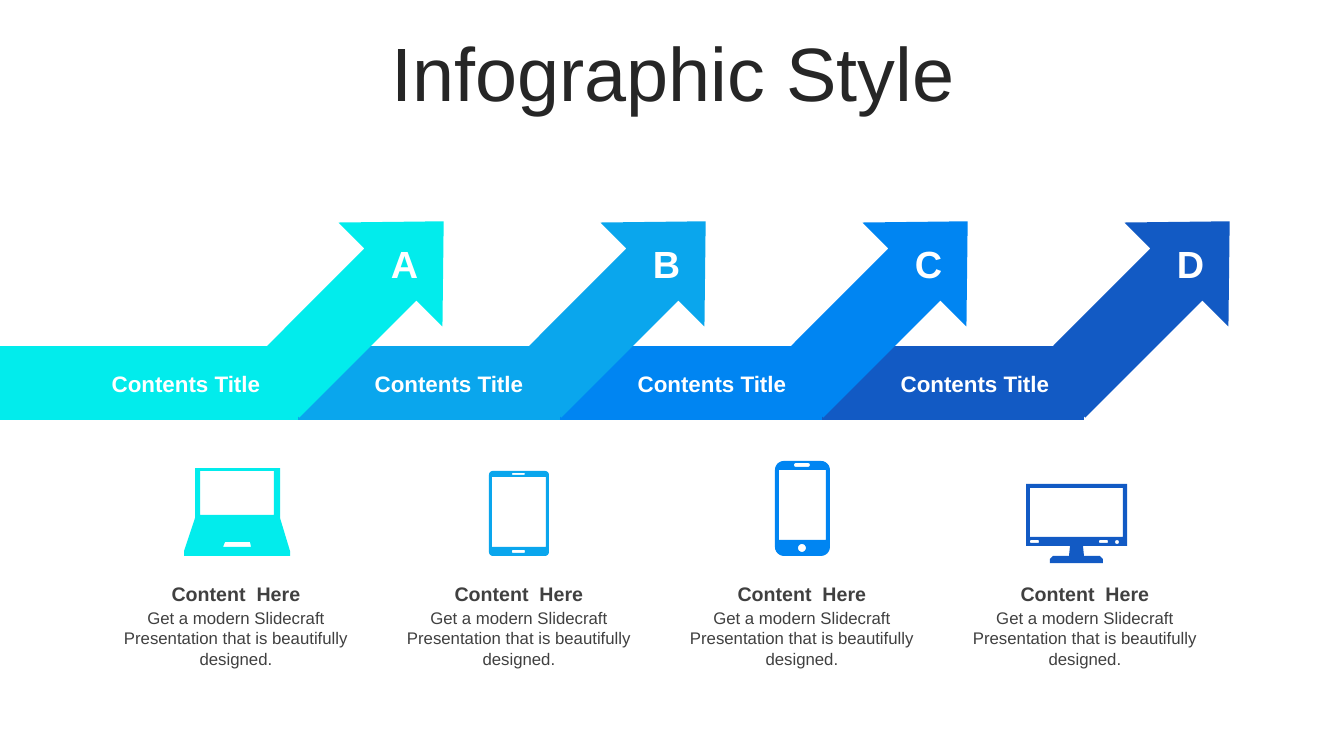
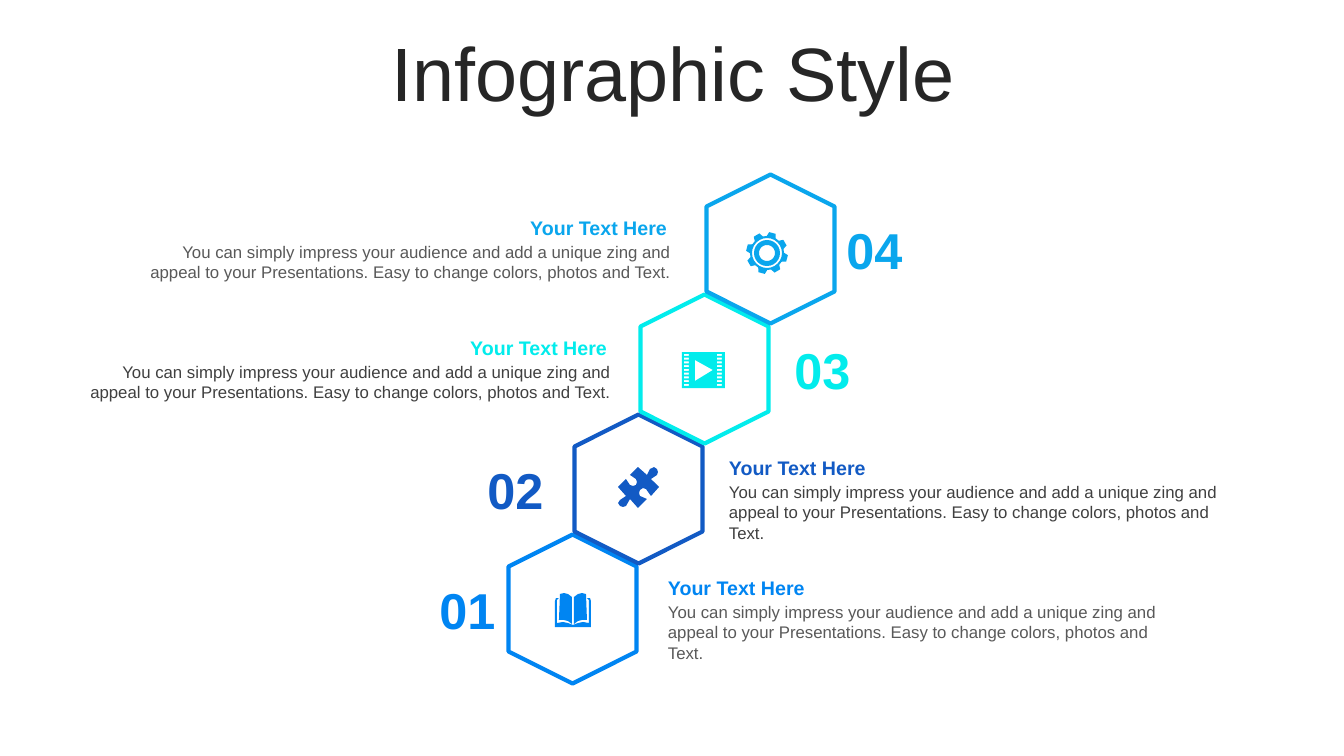
import math

from pptx import Presentation
from pptx import util as u
from pptx.dml import color
from pptx.enum import shapes, text

PX = 914400 / 100.8
COLORS = {
    "cyan": "02ECEC", "sky": "0AA6ED", "azure": "0085F2", "navy": "125AC4",
    "white": "FFFFFF", "title": "262626", "dark": "404040", "gray": "595959",
}
STYLES = {
    "title": {"size": 54, "bold": False},
    "band": {"size": 16, "bold": True},
    "letter": {"size": 27, "bold": True},
    "number": {"size": 36, "bold": True},
    "heading": {"size": 14, "bold": True},
    "body": {"size": 12, "bold": False},
}
ALIGN = text.PP_ALIGN
GROW = text.MSO_AUTO_SIZE.SHAPE_TO_FIT_TEXT
MIDDLE = text.MSO_ANCHOR.MIDDLE


def px(value):
    return u.Emu(round(value * PX))


def rgb(name):
    return color.RGBColor.from_string(COLORS[name])


def polar(cx, cy, radius, degrees):
    angle = math.radians(degrees)
    return cx + radius * math.cos(angle), cy + radius * math.sin(angle)


def plate(x, y, w, h, r=0):
    corners = [(x + w - r, y + h - r), (x + r, y + h - r),
               (x + r, y + r), (x + w - r, y + r)]
    turns = range(0, 91, 15) if r else [0]
    return [polar(cx, cy, r, 90 * k + turn)
            for k, (cx, cy) in enumerate(corners) for turn in turns]


def disc(cx, cy, r):
    return plate(cx - r, cy - r, 2 * r, 2 * r, r)


class Deck:
    def __init__(self):
        self.prs = Presentation()
        self.prs.slide_width = px(1344)
        self.prs.slide_height = px(756)
        self.slide = None

    def add_slide(self, title):
        self.slide = self.prs.slides.add_slide(self.prs.slide_layouts[6])
        self.label(title, (35, 37, 1276, 80), "title", "title",
                   frame={"vertical_anchor": MIDDLE, "auto_size": text.MSO_AUTO_SIZE.NONE},
                   paragraph={"line_spacing": 0.9, "space_before": u.Pt(10)})

    def label(self, words, box, style, tint, frame=None, paragraph=None):
        holder = self.slide.shapes.add_textbox(*map(px, box)).text_frame
        line = holder.paragraphs[0]
        run = line.add_run()
        run.text = words
        font = {"name": "Arial", **STYLES[style], "size": u.Pt(STYLES[style]["size"])}
        formats = [
            (holder, {"word_wrap": True, "auto_size": GROW, **(frame or {})}),
            (line, {"alignment": ALIGN.CENTER, **(paragraph or {})}),
            (run.font, font),
        ]
        for target, values in formats:
            for key, value in values.items():
                setattr(target, key, value)
        run.font.color.rgb = rgb(tint)

    def paint(self, shape, fill, line=None):
        shape.shadow.inherit = False
        shape.fill.solid()
        shape.fill.fore_color.rgb = rgb(fill)
        if line:
            shape.line.color.rgb = rgb(line)
            shape.line.width = u.Pt(3)
        else:
            shape.line.fill.background()

    def preset(self, kind, box, fill, line=None, rotation=0, adjustments=()):
        shape = self.slide.shapes.add_shape(kind, *map(px, box))
        shape.rotation = rotation
        for index, value in enumerate(adjustments):
            shape.adjustments[index] = value
        self.paint(shape, fill, line)

    def icon(self, contours, fill):
        builder = None
        for contour in contours:
            start, *rest = [(px(x), px(y)) for x, y in contour]
            if builder is None:
                builder = self.slide.shapes.build_freeform(*start, scale=1.0)
            else:
                builder.move_to(*start)
            builder.add_line_segments(rest, close=True)
        self.paint(builder.convert_to_shape(), fill)


def laptop():
    return [
        [(195, 468), (280, 468), (280, 518), (290, 551),
         (290, 556), (184, 556), (184, 551), (195, 518)],
        plate(200, 471, 74, 44),
        [(225, 542), (250, 542), (251, 547), (223, 547)],
    ]


def tablet():
    return [plate(489, 471, 60, 85, 4), plate(492, 477, 54, 70),
            plate(512, 550, 13, 3, 1), plate(512, 473, 13, 2, 1)]


def phone():
    return [plate(775, 461, 55, 95, 9), plate(779, 470, 47, 70),
            plate(794, 463, 16, 4, 2), disc(802, 548, 4)]


def monitor():
    return [
        [(1026, 484), (1127, 484), (1127, 546), (1083, 546), (1084, 556),
         (1100, 556), (1103, 559), (1103, 563), (1050, 563), (1050, 559),
         (1053, 556), (1069, 556), (1070, 546), (1026, 546)],
        plate(1030, 488, 93, 49), plate(1030, 540, 9, 3, 1),
        plate(1099, 540, 9, 3, 1), disc(1117, 542, 2),
    ]


def book():
    spine = 573
    page = [(572, 597), (568, 594), (564, 593), (560, 594),
            (559, 620), (564, 620), (568, 621), (572, 624)]
    cover = [(573, 627), (555, 627), (555, 601), (556, 598), (559, 598),
             (557, 600), (557, 623), (563, 622), (568, 623), (573, 625)]
    halves = [page, cover]
    return halves + [[(2 * spine - x, y) for x, y in half] for half in halves]


def puzzle():
    return [[
        (657, 469), (658, 472), (657, 475), (651, 479), (659, 487), (651, 496),
        (646, 489), (643, 488), (640, 490), (639, 493), (640, 496), (647, 499),
        (638, 508), (630, 499), (626, 506), (623, 507), (620, 506), (618, 503),
        (620, 500), (626, 496), (618, 487), (626, 479), (630, 485), (633, 486),
        (636, 485), (637, 482), (636, 479), (630, 475), (638, 467), (647, 475),
        (650, 469), (654, 467),
    ]]


def film():
    holes = [plate(x, 354 + 3.75 * row, 5, 2) for x in (684, 717) for row in range(9)]
    return [plate(682, 352, 43, 36), [(695, 360), (695, 381), (713, 370)], *holes]


def gear():
    cx, cy = 767, 253
    tooth = [(17, -16), (21, -9), (21, 9), (17, 16)]
    rim = [polar(cx, cy, radius, 45 * k - 75 + turn)
           for k in range(8) for radius, turn in tooth]
    return [rim, *[disc(cx, cy, r) for r in (15, 13, 8)]]


deck = Deck()

deck.add_slide("Infographic Style")
devices = [("A", "cyan", laptop), ("B", "sky", tablet),
           ("C", "azure", phone), ("D", "navy", monitor)]
for step, (letter, tint, device) in reversed(list(enumerate(devices))):
    band = 262 * step
    deck.preset(shapes.MSO_SHAPE.UP_ARROW, (285 + band, 186, 147, 241), tint,
                rotation=45, adjustments=(0.5, 0.512))
    deck.preset(shapes.MSO_SHAPE.RECTANGLE, (band, 346, 298, 74), tint)
for step, (letter, tint, device) in enumerate(devices):
    caption = 105 + 283 * step
    deck.label("Contents Title", (101 + 263 * step, 365, 170, 37), "band", "white")
    deck.label("Content  Here", (caption, 577, 262, 34), "heading", "dark",
               frame={"vertical_anchor": MIDDLE})
    deck.label("Get a modern Slidecraft Presentation that is beautifully designed.",
               (caption, 603, 262, 72), "body", "dark")
    deck.icon(device(), tint)
    deck.label(letter, (367 + 262 * step, 236, 75, 56), "letter", "white")

deck.add_slide("Infographic Style")
message = ("You can simply impress your audience and add a unique zing and appeal to "
           "your Presentations. Easy to change colors, photos and Text.")
stages = [
    ("01", "azure", "gray", book, 425, 658, 538, ALIGN.LEFT),
    ("02", "navy", "dark", puzzle, 473, 719, 538, ALIGN.LEFT),
    ("03", "cyan", "dark", film, 780, 79, 542, ALIGN.RIGHT),
    ("04", "sky", "gray", gear, 832, 139, 542, ALIGN.RIGHT),
]
for stage, (number, tint, ink, symbol, number_x, text_x, width, side) in enumerate(stages):
    cx, cy = 572 + 66 * stage, 609 - 120 * stage
    deck.preset(shapes.MSO_SHAPE.HEXAGON, (cx - 74, cy - 64, 149, 128), "white",
                line=tint, rotation=90)
    deck.label(message, (text_x, cy - 12, width, 51), "body", ink,
               paragraph={"alignment": side})
    deck.label("Your Text Here", (text_x, cy - 38, width - 4, 34), "heading", tint,
               paragraph={"alignment": side})
    deck.label(number, (number_x, cy - 35, 85, 72), "number", tint)
    deck.icon(symbol(), tint)

deck.prs.save("out.pptx")
